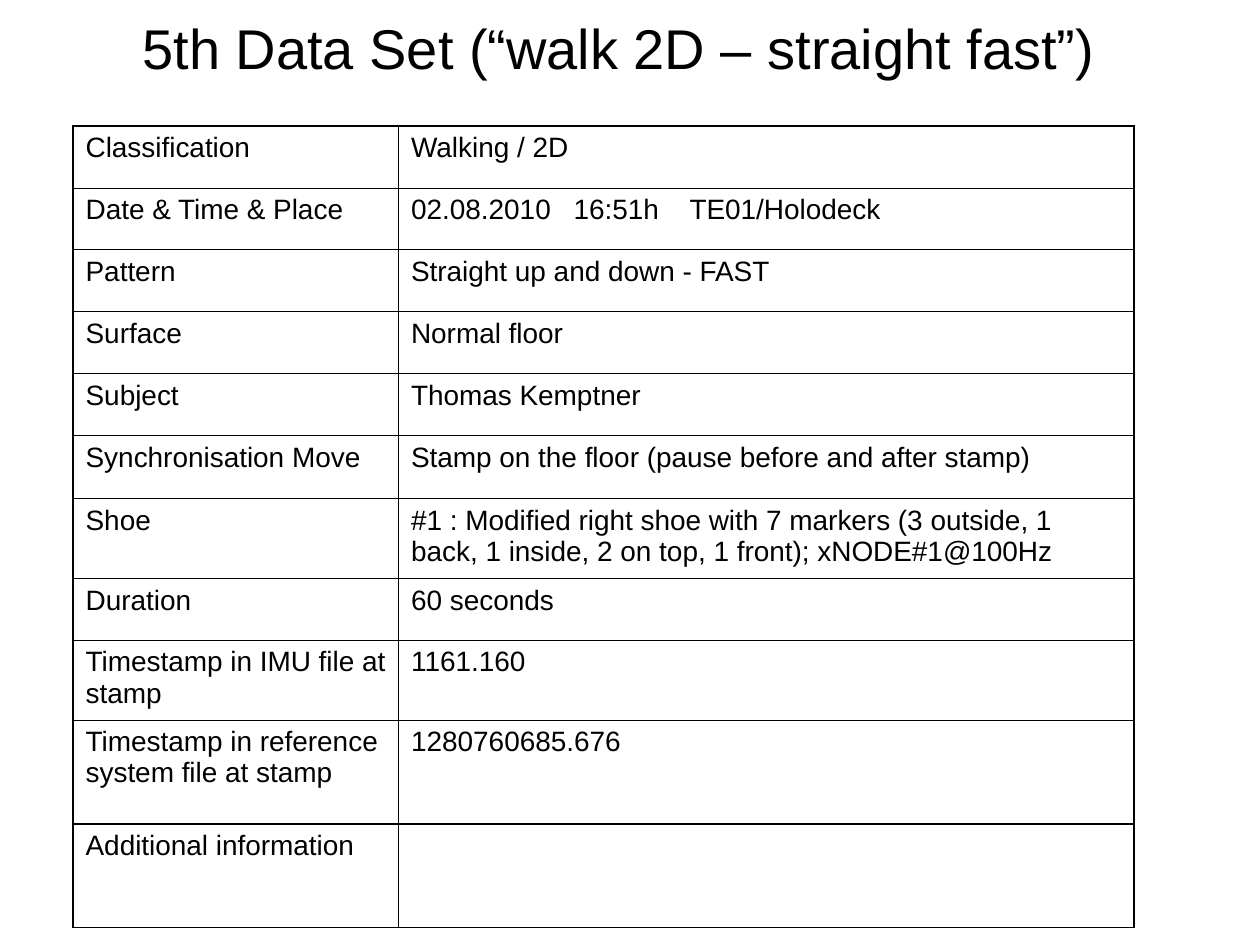
from lxml.etree import SubElement
from pptx import Presentation
from pptx.dml.color import RGBColor
from pptx.enum.text import MSO_ANCHOR, PP_ALIGN
from pptx.oxml.ns import qn
from pptx.util import Inches, Pt

INK = "000000"
THIN, THICK = 0.45, 1.08
COLUMNS = [2.58, 5.83]
TAB_STOPS = [1.29, 2.21]
ROWS = [
    ("Classification", "Walking / 2D", 0.49),
    ("Date & Time & Place", "02.08.2010\t16:51h\tTE01/Holodeck", 0.49),
    ("Pattern", "Straight up and down - FAST", 0.49),
    ("Surface", "Normal floor", 0.49),
    ("Subject", "Thomas Kemptner", 0.49),
    ("Synchronisation Move", "Stamp on the floor (pause before and after stamp)", 0.5),
    ("Shoe", "#1 : Modified right shoe with 7 markers (3 outside, 1 back, "
             "1 inside, 2 on top, 1 front); xNODE#1@100Hz", 0.63),
    ("Duration", "60 seconds", 0.49),
    ("Timestamp in IMU file at stamp", "1161.160", 0.63),
    ("Timestamp in reference system file at stamp", "1280760685.676", 0.82),
    ("Additional information", "", 0.82),
]


def rgb(value):
    return RGBColor.from_string(value)


def set_font(p, size):
    p.font.name = "Arial"
    p.font.size = Pt(size)
    p.font.color.rgb = rgb(INK)


def add_tab_stops(p, stops):
    tabs = SubElement(p._p.get_or_add_pPr(), qn("a:tabLst"))
    for stop in stops:
        SubElement(tabs, qn("a:tab"), pos=str(Inches(stop)), algn="l")


def set_borders(cell, left, right, top, bottom):
    tc_pr = cell._tc.get_or_add_tcPr()
    for side, width in zip("LRTB", (left, right, top, bottom)):
        ln = SubElement(tc_pr, qn(f"a:ln{side}"), w=str(Pt(width)))
        fill = SubElement(ln, qn("a:solidFill"))
        SubElement(fill, qn("a:srgbClr"), val=INK)


def add_title(s, text, left, top, width, height):
    tf = s.shapes.add_textbox(left, top, width, height).text_frame
    tf.word_wrap = True
    tf.vertical_anchor = MSO_ANCHOR.MIDDLE
    p = tf.paragraphs[0]
    p.text = text
    p.alignment = PP_ALIGN.CENTER
    set_font(p, 32)


def add_data_table(s, left, top, width, height):
    table = s.shapes.add_table(len(ROWS), len(COLUMNS), left, top, width, height).table
    table.first_row = table.horz_banding = False
    for column, share in zip(table.columns, COLUMNS):
        column.width = int(width * share / sum(COLUMNS))
    total = sum(row[-1] for row in ROWS)
    last = len(ROWS) - 1
    for i, (label, value, share) in enumerate(ROWS):
        table.rows[i].height = int(height * share / total)
        upper = THICK if i in (0, last) else THIN
        lower = THICK if i >= last - 1 else THIN
        for j, text in enumerate((label, value)):
            cell = table.cell(i, j)
            sides = (THICK, THIN) if j == 0 else (THIN, THICK)
            set_borders(cell, *sides, upper, lower)
            cell.fill.background()
            p = cell.text_frame.paragraphs[0]
            p.text = text
            if "\t" in text:
                add_tab_stops(p, TAB_STOPS)
            set_font(p, 16)


def main():
    prs = Presentation()
    prs.slide_width, prs.slide_height = Inches(10), Inches(7.5)
    s = prs.slides.add_slide(prs.slide_layouts[6])
    add_title(s, "5th Data Set (“walk 2D – straight fast”)",
              Inches(0.25), 0, Inches(9.33), Inches(0.75))
    add_data_table(s, Inches(0.58), Inches(1), Inches(8.42), Inches(6.36))
    prs.save("out.pptx")


if __name__ == "__main__":
    main()
